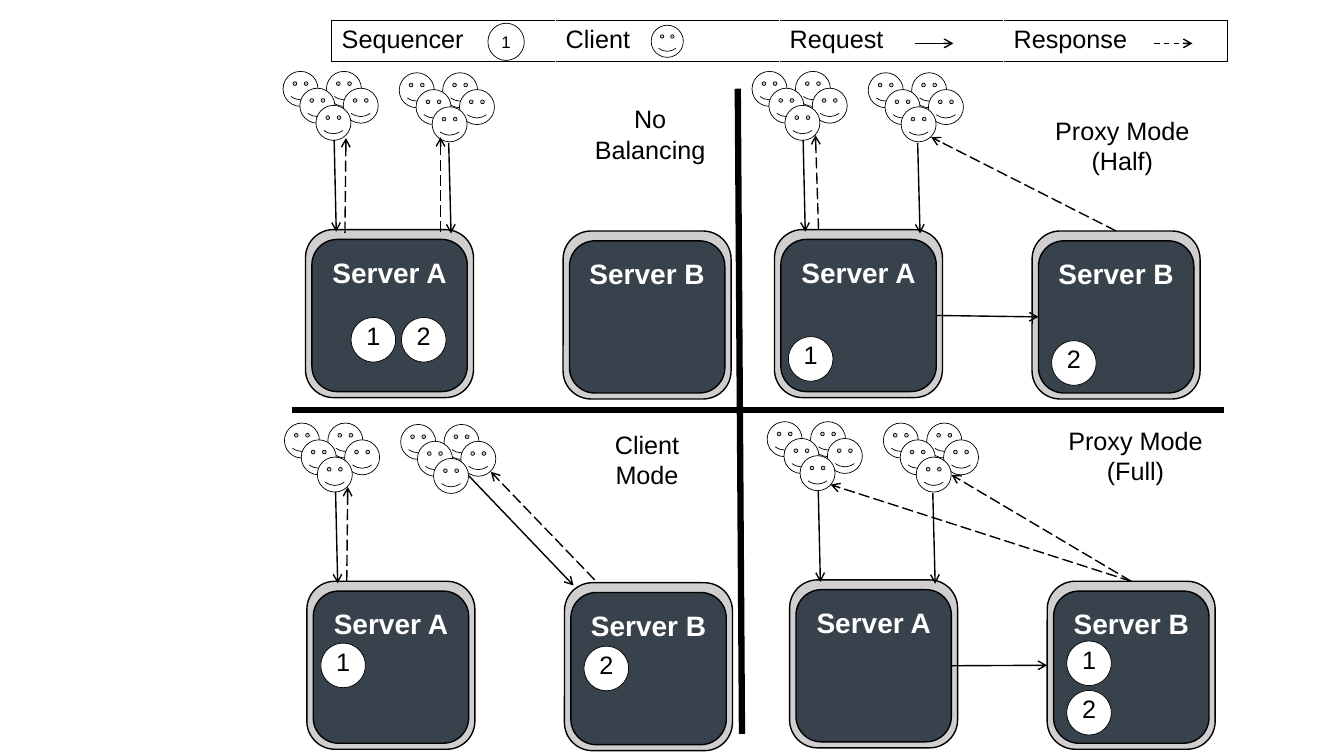
from lxml import etree
from pptx import Presentation
from pptx.dml.color import RGBColor
from pptx.enum import dml, shapes, text
from pptx.oxml import ns
from pptx.util import Pt

BLACK = RGBColor(0x00, 0x00, 0x00)
WHITE = RGBColor(0xFF, 0xFF, 0xFF)
SILVER = RGBColor(0xD0, 0xCE, 0xCE)
SLATE = RGBColor(0x38, 0x42, 0x4C)
SOLID, DASH, LONG = None, dml.MSO_LINE.DASH, dml.MSO_LINE.LONG_DASH
TOP, LEFT, RIGHT = 0, 1, 3

LEGEND = ["Sequencer", "Client", "Request", "Response"]
LEGEND_BOX = (236.9, 14.4, 640, 29.5)
LEGEND_ARROWS = [((653.8, 31), (681, 31), SOLID), ((824.4, 31), (851.8, 31), DASH)]
DIVIDERS = [((208.8, 293), (874, 293)), ((527, 63.4), (530, 524.2))]

FACES = [(0, 0), (31, 0), (43, 12), (12, 12), (23.5, 24.3)]
CROWDS = [(-16, -113), (67, -112)]
SERVERS = {"A": (0, 0), "B": (184, 1)}
FIRST = ((20.5, -64), (22, 1.5), SOLID)
SECOND = ((102.3, -62), (104, 2.8), SOLID)

MODES = [
    {"at": (218.2, 164), "title": ["No Balancing"], "title_box": (188.6, -93.5, 115.2),
     "sequencers": [("2", 68.6, 62.8), ("1", 32.6, 62.8)],
     "arrows": [FIRST, SECOND,
                ((28.2, 2.3), (28.9, -65.4), LONG),
                ((96.5, 1.6), (96.5, -66), LONG)]},
    {"at": (553.2, 164), "title": ["Proxy Mode", "(Half)"], "title_box": (182.6, -85.5, 131.8),
     "sequencers": [("2", 198, 79.4), ("1", 10, 76.5)],
     "arrows": [FIRST, SECOND,
                (("A inner", RIGHT), ("B inner", LEFT), SOLID),
                (("B outer", TOP), (112, -66), LONG),
                ((31.5, 0), (29.3, -67.5), LONG)]},
    {"at": (219.2, 415.2), "title": ["Client", "Mode"], "title_box": (185.4, -112, 115.2),
     "sequencers": [("2", 198, 46.4), ("1", 10, 44.2)],
     "arrows": [FIRST,
                ((115.6, -75.4), (190.5, 3), SOLID),
                ((205.6, -1), (131.4, -78.2), LONG),
                ((28.5, 0), (29.2, -67.4), LONG)]},
    {"at": (564, 414.2), "title": ["Proxy Mode", "(Full)"], "title_box": (181.2, -114, 131.8),
     "sequencers": [("2", 198, 79), ("1", 198, 43.7)],
     "arrows": [FIRST, SECOND,
                (("A inner", RIGHT), ("B outer", LEFT), SOLID),
                (("B outer", TOP), (115.7, -75), LONG),
                (("B outer", TOP), (29.3, -68), LONG)]},
]


def shift(origin, offset):
    return origin[0] + offset[0], origin[1] + offset[1]


def assign(obj, values):
    for name, value in values.items():
        setattr(obj, name, value)


def write(tf, lines, size=18, color=BLACK, bold=False, align=text.PP_ALIGN.CENTER, **frame):
    assign(tf, frame)
    for i, line in enumerate(lines):
        p = tf.paragraphs[0] if i == 0 else tf.add_paragraph()
        p.alignment = align
        r = p.add_run()
        assign(r, {"text": line})
        assign(r.font, {"name": "Arial", "size": Pt(size), "bold": bold})
        r.font.color.rgb = color


def add_box(parent, kind, at, w, h, fill=WHITE, width=0.5):
    sp = parent.add_shape(kind, Pt(at[0]), Pt(at[1]), Pt(w), Pt(h))
    sp.shadow.inherit = False
    sp.fill.solid()
    sp.fill.fore_color.rgb = fill
    sp.line.color.rgb = BLACK
    sp.line.width = Pt(width)
    return sp


def add_line(s, start, end, dash=SOLID, width=1, arrow=True):
    cx = s.shapes.add_connector(shapes.MSO_CONNECTOR.STRAIGHT, *map(Pt, start + end))
    cx.line.color.rgb = BLACK
    assign(cx.line, {"width": Pt(width), "dash_style": dash})
    if arrow:
        etree.SubElement(cx.line._get_or_add_ln(), ns.qn("a:tailEnd"), type="arrow")
    etree.SubElement(cx._element.spPr, ns.qn("a:effectLst"))
    return cx


def add_server(s, name, at):
    group = s.shapes.add_group_shape().shapes
    rounded = shapes.MSO_SHAPE.ROUNDED_RECTANGLE
    outer = add_box(group, rounded, at, 120, 120, SILVER, 1)
    inner = add_box(group, rounded, shift(at, (4.6, 7)), 111, 108.7, SLATE, 1)
    write(inner.text_frame, ["Server " + name], 20, WHITE, True,
          vertical_anchor=text.MSO_ANCHOR.TOP, margin_top=Pt(6))
    return {name + " outer": outer, name + " inner": inner}


def add_arrow(s, origin, servers, start, end, dash):
    joins = [p if isinstance(p[0], str) else None for p in (start, end)]
    ends = [origin if j else shift(origin, p) for j, p in zip(joins, (start, end))]
    cx = add_line(s, *ends, dash)
    for join, connect in zip(joins, (cx.begin_connect, cx.end_connect)):
        if join:
            connect(servers[join[0]], join[1])


def add_mode(s, mode):
    origin = mode["at"]
    servers = {}
    for name, offset in SERVERS.items():
        servers.update(add_server(s, name, shift(origin, offset)))
    for label, x, y in mode["sequencers"]:
        sp = add_box(s.shapes, shapes.MSO_SHAPE.OVAL, shift(origin, (x, y)), 31.8, 31.8)
        write(sp.text_frame, [label], vertical_anchor=text.MSO_ANCHOR.BOTTOM, word_wrap=False)
    for crowd in CROWDS:
        for face in FACES:
            at = shift(shift(origin, crowd), face)
            add_box(s.shapes, shapes.MSO_SHAPE.SMILEY_FACE, at, 25, 25)
    x, y, w = mode["title_box"]
    left, top = shift(origin, (x, y))
    tb = s.shapes.add_textbox(Pt(left), Pt(top), Pt(w), Pt(51))
    write(tb.text_frame, mode["title"], word_wrap=True)
    for start, end, dash in mode["arrows"]:
        add_arrow(s, origin, servers, start, end, dash)


def set_borders(cell, colors):
    tcPr = cell._tc.get_or_add_tcPr()
    for i, (side, color) in enumerate(colors.items()):
        ln = etree.Element(ns.qn("a:ln" + side), w=str(Pt(1)))
        fill = etree.SubElement(ln, ns.qn("a:solidFill"))
        etree.SubElement(fill, ns.qn("a:srgbClr"), val=str(color))
        tcPr.insert(i, ln)


def add_legend(s):
    table = s.shapes.add_table(1, len(LEGEND), *map(Pt, LEGEND_BOX)).table
    assign(table, {"first_row": False, "horz_banding": False})
    last = len(LEGEND) - 1
    for i, label in enumerate(LEGEND):
        cell = table.cell(0, i)
        cell.fill.solid()
        cell.fill.fore_color.rgb = WHITE
        write(cell.text_frame, [label], align=text.PP_ALIGN.LEFT)
        set_borders(cell, {"L": BLACK if i == 0 else WHITE,
                           "R": BLACK if i == last else WHITE,
                           "T": BLACK, "B": BLACK})


def main():
    prs = Presentation()
    assign(prs, {"slide_width": Pt(960), "slide_height": Pt(540)})
    s = prs.slides.add_slide(prs.slide_layouts[6])
    add_legend(s)
    for mode in MODES:
        add_mode(s, mode)
    for start, end in DIVIDERS:
        add_line(s, start, end, width=4.5, arrow=False)
    sp = add_box(s.shapes, shapes.MSO_SHAPE.OVAL, (348.5, 16.6), 26, 26.6)
    write(sp.text_frame, ["1"], 12, vertical_anchor=text.MSO_ANCHOR.MIDDLE, word_wrap=False)
    add_box(s.shapes, shapes.MSO_SHAPE.SMILEY_FACE, (465.1, 18), 23, 23)
    for start, end, dash in LEGEND_ARROWS:
        add_line(s, start, end, dash)
    prs.save("out.pptx")


if __name__ == "__main__":
    main()
